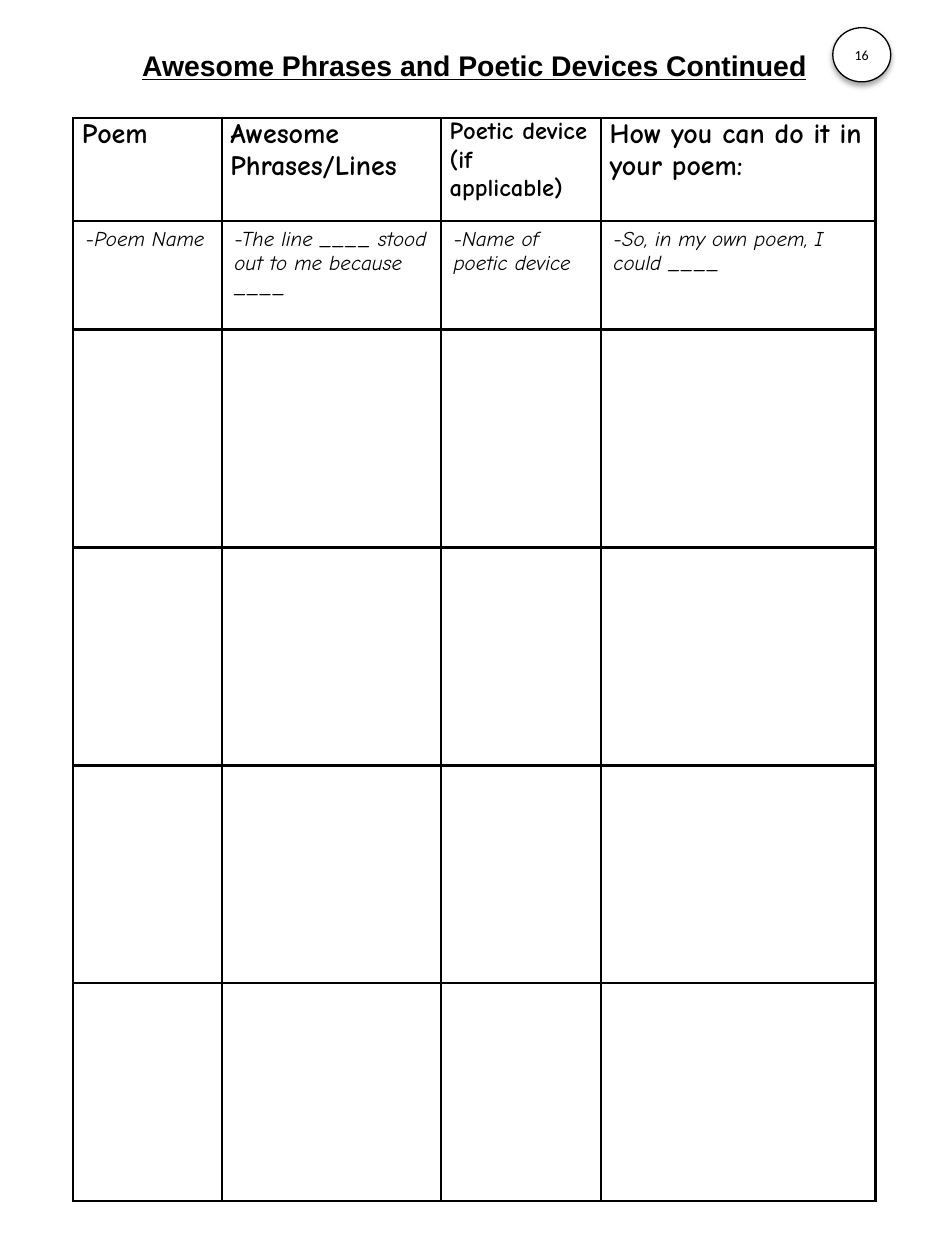
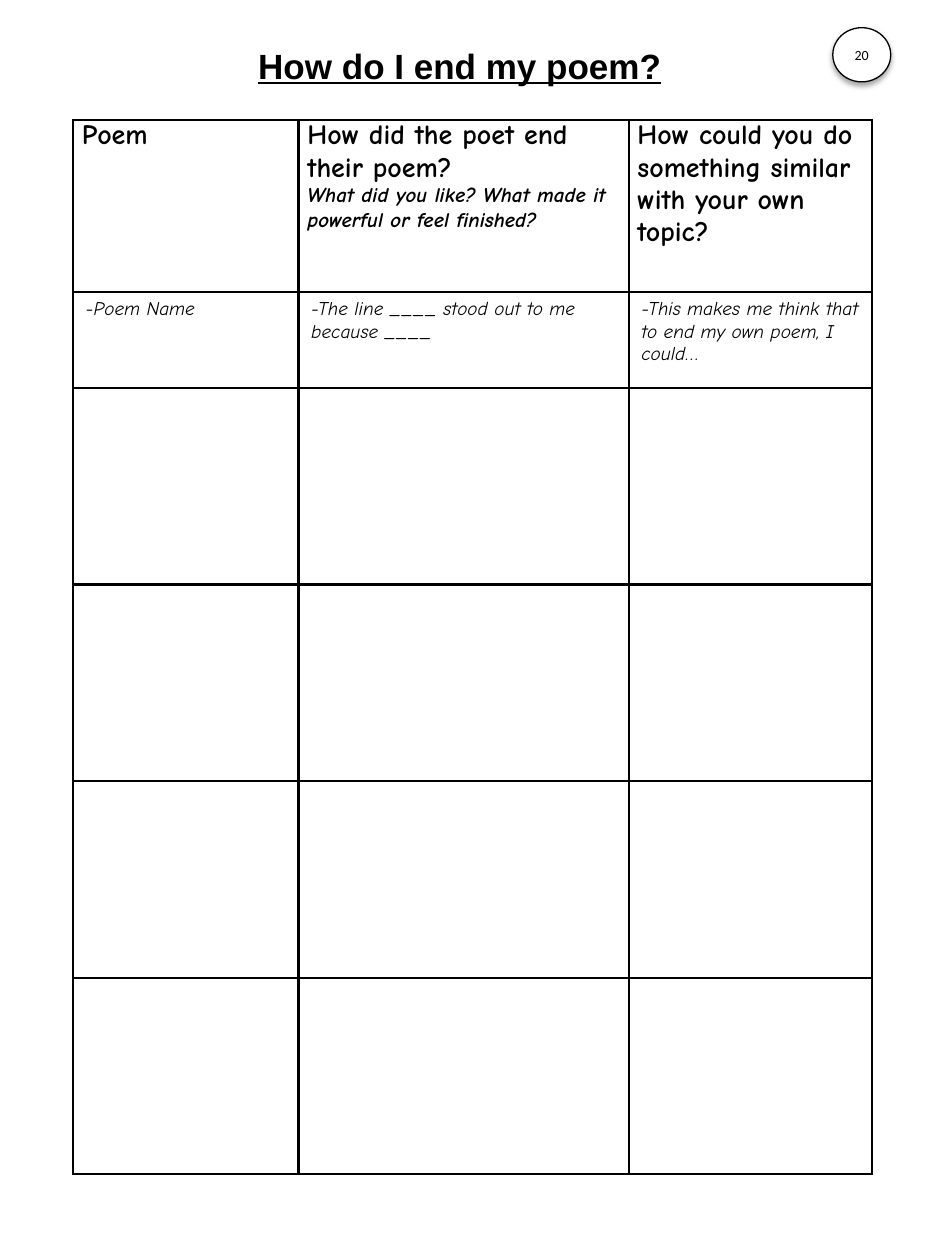
"""Build two poetry worksheets, each with a title, a page badge and a table to fill in."""
from dataclasses import dataclass

from lxml import etree
from pptx import Presentation
from pptx.dml.color import RGBColor
from pptx.enum.shapes import MSO_SHAPE
from pptx.enum.text import MSO_ANCHOR, PP_ALIGN
from pptx.oxml.ns import qn
from pptx.util import Inches, Pt

OVAL = MSO_SHAPE.OVAL
CENTER = PP_ALIGN.CENTER
TOP, MIDDLE = MSO_ANCHOR.TOP, MSO_ANCHOR.MIDDLE


@dataclass(frozen=True)
class Theme:
    ink: RGBColor = RGBColor(0, 0, 0)
    paper: RGBColor = RGBColor(255, 255, 255)
    title_font: str = "Arial"
    badge_font: str = "Calibri"
    table_font: str = "Comic Neue"
    header_size: float = 16
    small_header_size: float = 14
    subheader_size: float = 12
    badge_size: float = 8
    border: float = 1.5
    outline: float = 0.75


theme = Theme()
deck = Presentation()
deck.slide_width, deck.slide_height = Inches(7.5), Inches(10)
COLUMN, ROW = deck.slide_width / 100, deck.slide_height / 100
LEFT = 7.73

worksheets = [
    {
        "title": "Awesome Phrases and Poetic Devices Continued",
        "title_size": 16.2, "title_place": (LEFT, 3.8, 84.93, 5.6), "title_anchor": TOP,
        "number": "16", "table_top": 9.35,
        "columns": [15.73, 23.2, 16.93, 29.07], "rows": [8.2, 8.6] + [17.3] * 4,
        "headers": [
            [("Poem", theme.header_size, False)],
            [("Awesome Phrases/Lines", theme.header_size, False)],
            [("Poetic device (if applicable)", theme.small_header_size, False)],
            [("How you can do it in your poem:", theme.header_size, False)],
        ],
        "starter_size": 12,
        "starters": ["-Poem Name", "-The line ____ stood out to me because ____",
                     "-Name of poetic device", "-So, in my own poem, I could ____"],
    },
    {
        "title": "How do I end my poem?",
        "title_size": 20, "title_place": (LEFT, 2.7, 81.87, 5), "title_anchor": MIDDLE,
        "number": "20", "table_top": 9.5,
        "columns": [23.87, 34.93, 25.73], "rows": [13.7, 7.6] + [15.6] * 4,
        "headers": [
            [("Poem", theme.header_size, False)],
            [("How did the poet end their poem?", theme.header_size, False),
             ("What did you like? What made it powerful or feel finished?",
              theme.subheader_size, True)],
            [("How could you do something similar with your own topic?",
              theme.header_size, False)],
        ],
        "starter_size": 11,
        "starters": ["-Poem Name", "-The line ____ stood out to me because ____",
                     "-This makes me think that to end my own poem, I could…"],
    },
]


def place(left, top, width, height):
    """Turn percentages of the slide into lengths."""
    return [int(left * COLUMN), int(top * ROW), int(width * COLUMN), int(height * ROW)]


def write(para, text, name, size, bold=False, italic=False, underline=False):
    """Fill one paragraph and set its font."""
    para.text = text
    font = para.font
    font.name, font.size, font.color.rgb = name, Pt(size), theme.ink
    font.bold, font.italic, font.underline = bold, italic, underline


for sheet in worksheets:
    page = deck.slides.add_slide(deck.slide_layouts[6])

    title = page.shapes.add_textbox(*place(*sheet["title_place"])).text_frame
    title.word_wrap = True
    title.vertical_anchor = sheet["title_anchor"]
    title.margin_top = title.margin_bottom = 0
    title.paragraphs[0].alignment = CENTER
    write(title.paragraphs[0], sheet["title"], theme.title_font, sheet["title_size"],
          bold=True, underline=True)

    widths, heights = sheet["columns"], sheet["rows"]
    table = page.shapes.add_table(
        len(heights), len(widths),
        *place(LEFT, sheet["table_top"], sum(widths), sum(heights))).table
    table.first_row = table.horz_banding = False
    for column, width in zip(table.columns, widths):
        column.width = int(width * COLUMN)
    for row, height in zip(table.rows, heights):
        row.height = int(height * ROW)

    for cell in table.iter_cells():
        properties = cell._tc.get_or_add_tcPr()
        for side in ("a:lnL", "a:lnR", "a:lnT", "a:lnB"):
            line = etree.SubElement(properties, qn(side), w=str(Pt(theme.border)))
            fill = etree.SubElement(line, qn("a:solidFill"))
            etree.SubElement(fill, qn("a:srgbClr"), val=str(theme.ink))
        cell.fill.solid()
        cell.fill.fore_color.rgb = theme.paper

    for index, header in enumerate(sheet["headers"]):
        cell = table.cell(0, index)
        cell.margin_left = cell.margin_right = Inches(0.07)
        cell.margin_top = cell.margin_bottom = 0
        for position, (text, size, italic) in enumerate(header):
            frame = cell.text_frame
            para = frame.add_paragraph() if position else frame.paragraphs[0]
            write(para, text, theme.table_font, size, bold=True, italic=italic)

    for index, starter in enumerate(sheet["starters"]):
        write(table.cell(1, index).text_frame.paragraphs[0], starter,
              theme.table_font, sheet["starter_size"], italic=True)

    badge = page.shapes.add_shape(OVAL, *place(88.13, 2.2, 6.13, 4.3))
    badge.fill.solid()
    badge.fill.fore_color.rgb = theme.paper
    badge.line.color.rgb = theme.ink
    badge.line.width = Pt(theme.outline)
    badge.shadow.inherit = False
    effects = badge._element.spPr.find(qn("a:effectLst"))
    shadow = etree.SubElement(effects, qn("a:outerShdw"), blurRad=str(Pt(3.1)),
                              dist=str(Pt(1.8)), dir="5400000", rotWithShape="0")
    shade = etree.SubElement(shadow, qn("a:srgbClr"), val=str(theme.ink))
    etree.SubElement(shade, qn("a:alpha"), val="35000")
    frame = badge.text_frame
    frame.word_wrap = False
    frame.vertical_anchor = MIDDLE
    frame.paragraphs[0].alignment = CENTER
    write(frame.paragraphs[0], sheet["number"], theme.badge_font, theme.badge_size)

deck.save("out.pptx")
